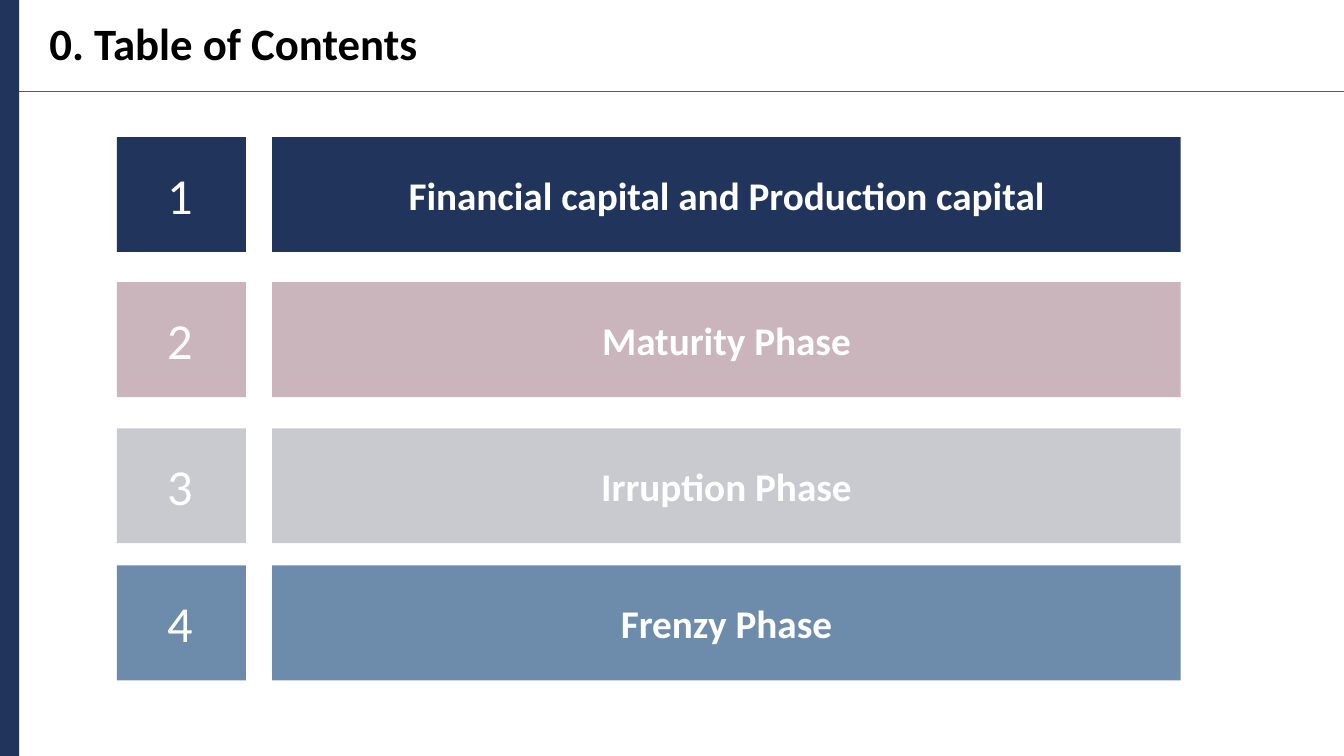
from lxml import etree
from pptx import Presentation
from pptx.dml.color import RGBColor
from pptx.enum.shapes import MSO_CONNECTOR, MSO_SHAPE
from pptx.enum.text import MSO_ANCHOR, MSO_AUTO_SIZE, PP_ALIGN
from pptx.oxml.ns import qn
from pptx.util import Inches, Pt

NAVY = RGBColor(0x21, 0x34, 0x5C)
ROSE = RGBColor(0xCA, 0xB5, 0xBD)
GREY = RGBColor(0xC9, 0xCA, 0xCF)
STEEL = RGBColor(0x6D, 0x8C, 0xAC)
RULE_BLUE = RGBColor(0x32, 0x63, 0x93)
WHITE = RGBColor(0xFF, 0xFF, 0xFF)
BLACK = RGBColor(0, 0, 0)
FONT = "Calibri"

SLIDE_W, SLIDE_H = 13.33, 7.5
STRIPE_W, HEADER_H = 0.19, 0.91
ROW_LEFT, ROW_W, ROW_H = 1.16, 10.55, 1.14
TILE_W, TILE_GAP = 1.28, 0.26

# Top of each row, section name and colour
SECTIONS = [
    (1.36, "Financial capital and Production capital", NAVY),
    (2.8, "Maturity Phase", ROSE),
    (4.25, "Irruption Phase", GREY),
    (5.61, "Frenzy Phase", STEEL),
]


def add_block(slide, left, top, width, height, color):
    block = slide.shapes.add_shape(
        MSO_SHAPE.RECTANGLE, Inches(left), Inches(top), Inches(width), Inches(height))
    block.shadow.inherit = False
    block.fill.solid()
    block.fill.fore_color.rgb = color
    block.line.fill.background()
    return block


def write(frame, text, size, color, bold=False, align=PP_ALIGN.CENTER):
    frame.vertical_anchor = MSO_ANCHOR.MIDDLE
    paragraph = frame.paragraphs[0]
    paragraph.alignment = align
    run = paragraph.add_run()
    run.text = text
    run.font.name = FONT
    run.font.size = Pt(size)
    run.font.bold = bold
    run.font.color.rgb = color
    return paragraph


def add_header(slide, left, top, width, height):
    # Rule under the title
    bottom = Inches(top + height)
    rule = slide.shapes.add_connector(
        MSO_CONNECTOR.STRAIGHT, Inches(left), bottom, Inches(left + width), bottom)
    rule.line.color.rgb = RULE_BLUE
    rule.line.width = Pt(0.5)
    etree.SubElement(rule._element.spPr, qn("a:effectLst"))

    # Title
    title = slide.shapes.title
    title.left, title.top = Inches(left + 0.2), Inches(top)
    title.width, title.height = Inches(11.5), Inches(height)
    heading = write(title.text_frame, "0. Table of Contents", 32, BLACK,
                    bold=True, align=PP_ALIGN.LEFT)
    heading.line_spacing = 0.9


def add_section(slide, left, top, width, height, number, name, color):
    # Number tile and name bar
    add_block(slide, left, top, TILE_W, height, color)
    offset = TILE_W + TILE_GAP
    bar = add_block(slide, left + offset, top, width - offset, height, color)
    bar.text_frame.word_wrap = True
    write(bar.text_frame, name, 28, WHITE, bold=True)

    # Number
    label = slide.shapes.add_textbox(
        Inches(left + 0.4), Inches(top + 0.21), Inches(0.43), Inches(0.71))
    label.text_frame.word_wrap = False
    label.text_frame.auto_size = MSO_AUTO_SIZE.SHAPE_TO_FIT_TEXT
    write(label.text_frame, str(number), 36, WHITE)


def add_contents_slide(prs):
    slide = prs.slides.add_slide(prs.slide_layouts[5])
    add_block(slide, 0, 0, STRIPE_W, SLIDE_H, NAVY)
    add_header(slide, STRIPE_W, 0, SLIDE_W - STRIPE_W, HEADER_H)
    for number, (top, name, color) in enumerate(SECTIONS, start=1):
        add_section(slide, ROW_LEFT, top, ROW_W, ROW_H, number, name, color)


def main():
    prs = Presentation()
    prs.slide_width, prs.slide_height = Inches(SLIDE_W), Inches(SLIDE_H)
    add_contents_slide(prs)
    prs.save("out.pptx")


if __name__ == "__main__":
    main()
